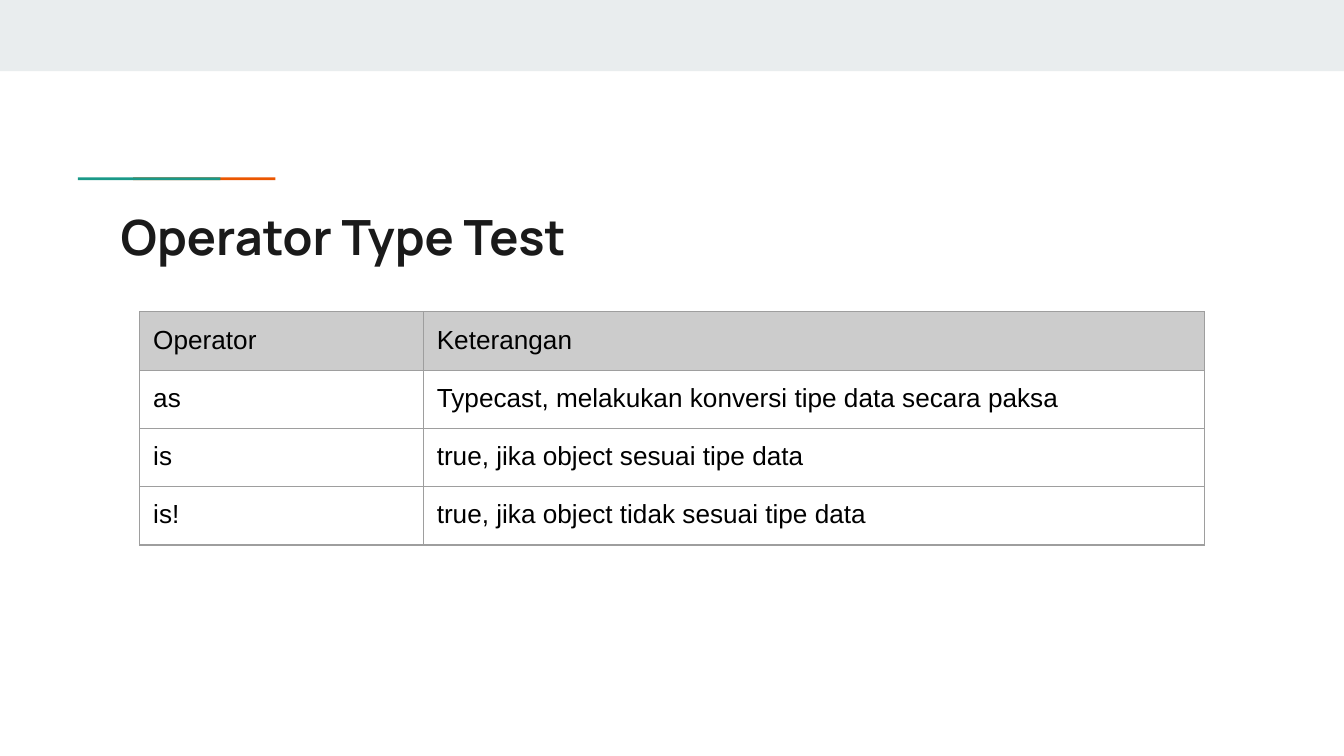
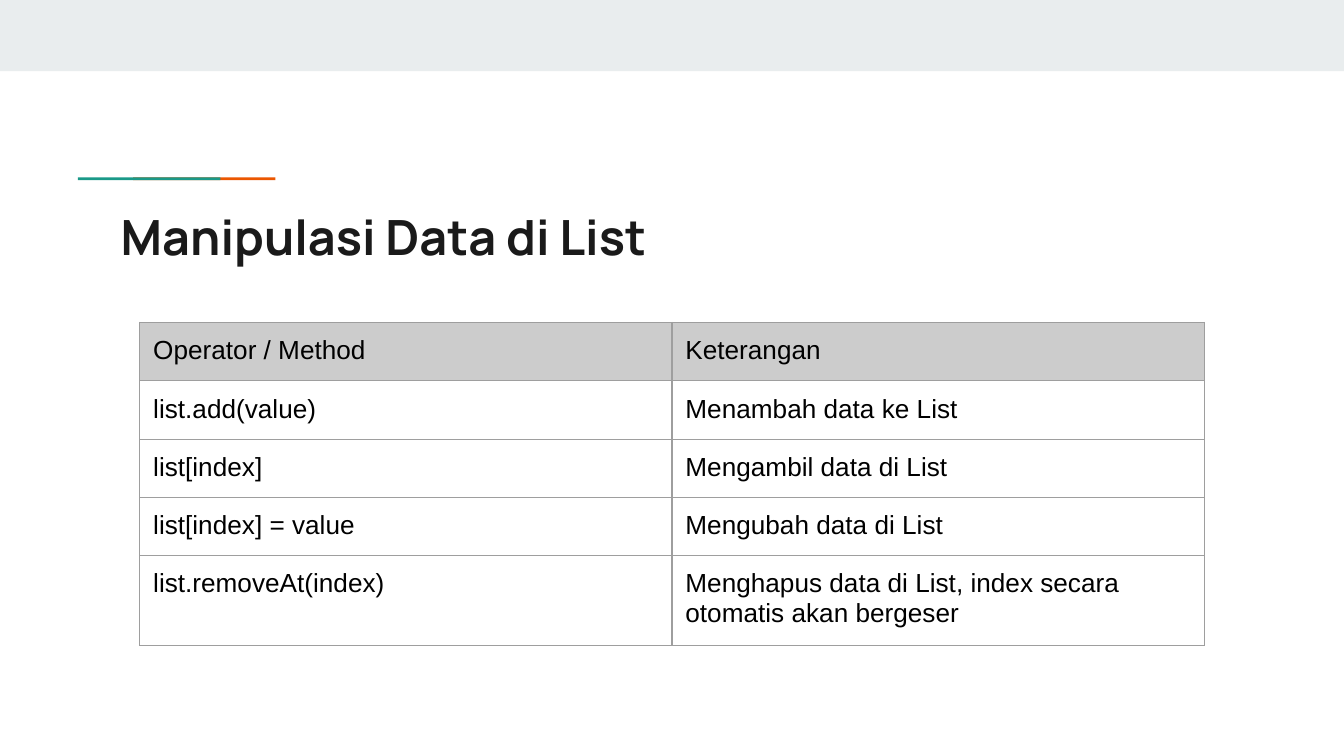
"""Build two slides that explain operators and list methods in tables."""
from dataclasses import dataclass

from lxml import etree
from pptx import Presentation
from pptx.dml.color import RGBColor
from pptx.enum import shapes, text
from pptx.oxml.ns import qn
from pptx.util import Inches, Pt


@dataclass(frozen=True)
class Theme:
    band: str = "E9EDEE"
    orange: str = "EB5600"
    teal: str = "1A9988"
    title: str = "1A1A1A"
    body: str = "000000"
    header: str = "CCCCCC"
    border: str = "9E9E9E"
    title_font: str = "Manrope"
    body_font: str = "Arial"
    title_size: int = 26
    body_size: int = 14
    border_width: float = 0.75


THEME = Theme()
PAGE_WIDTH = 10
PAGE_HEIGHT = PAGE_WIDTH * 9 / 16
TABLE_LEFT, ROW_HEIGHT, INSET = 1.04, 0.42, 0.1

BARS = [
    (0, 0, PAGE_WIDTH, 0.53, THEME.band),
    (0.99, 1.32, 1.06, 0.02, THEME.orange),
    (0.58, 1.32, 1.06, 0.02, THEME.teal),
]

PAGES = [
    {
        "title": "Operator Type Test",
        "top": 2.32,
        "height": 1.73,
        "columns": (2.11, 5.81),
        "rows": [
            ("Operator", "Keterangan"),
            ("as", "Typecast, melakukan konversi tipe data secara paksa"),
            ("is", "true, jika object sesuai tipe data"),
            ("is!", "true, jika object tidak sesuai tipe data"),
        ],
    },
    {
        "title": "Manipulasi Data di List",
        "top": 2.4,
        "height": 2.4,
        "columns": (3.96, 3.96),
        "rows": [
            ("Operator / Method", "Keterangan"),
            ("list.add(value)", "Menambah data ke List"),
            ("list[index]", "Mengambil data di List"),
            ("list[index] = value", "Mengubah data di List"),
            ("list.removeAt(index)",
             "Menghapus data di List, index secara otomatis akan bergeser"),
        ],
    },
]


def style(para, font, size, color, bold=False):
    para.line_spacing = 1.0
    para.font.name = font
    para.font.size = Pt(size)
    para.font.bold = bold
    para.font.color.rgb = RGBColor.from_string(color)


def set_insets(holder):
    for side in ("left", "top", "right", "bottom"):
        setattr(holder, f"margin_{side}", Inches(INSET))


def add_bar(page, left, top, width, height, color):
    bar = page.shapes.add_shape(
        shapes.MSO_SHAPE.RECTANGLE,
        Inches(left), Inches(top), Inches(width), Inches(height))
    bar.shadow.inherit = False
    bar.fill.solid()
    bar.fill.fore_color.rgb = RGBColor.from_string(color)
    bar.line.fill.background()


def add_title(page, title):
    box = page.shapes.add_textbox(
        Inches(0.8), Inches(1.44), Inches(8.41), Inches(0.59))
    frame = box.text_frame
    frame.word_wrap = True
    frame.vertical_anchor = text.MSO_ANCHOR.TOP
    set_insets(frame)
    frame.text = title
    style(frame.paragraphs[0], THEME.title_font, THEME.title_size, THEME.title, True)


def add_borders(cell):
    properties = cell._tc.get_or_add_tcPr()
    for position, side in enumerate(("lnL", "lnR", "lnT", "lnB")):
        line = etree.Element(qn(f"a:{side}"), w=str(Pt(THEME.border_width)))
        fill = etree.SubElement(line, qn("a:solidFill"))
        etree.SubElement(fill, qn("a:srgbClr"), val=THEME.border)
        properties.insert(position, line)


def fill_cell(cell, words, is_header):
    cell.text = words
    set_insets(cell)
    style(cell.text_frame.paragraphs[0], THEME.body_font, THEME.body_size, THEME.body)
    if is_header:
        cell.fill.solid()
        cell.fill.fore_color.rgb = RGBColor.from_string(THEME.header)
    else:
        cell.fill.background()
    add_borders(cell)


def add_grid(page, top, height, columns, rows):
    holder = page.shapes.add_table(
        len(rows), len(columns), Inches(TABLE_LEFT), Inches(top),
        Inches(sum(columns)), Inches(height))
    table = holder.table
    table.first_row = table.horz_banding = False
    for column, width in zip(table.columns, columns):
        column.width = Inches(width)
    for row_index, row in enumerate(rows):
        table.rows[row_index].height = Inches(ROW_HEIGHT)
        for column_index, words in enumerate(row):
            fill_cell(table.cell(row_index, column_index), words, row_index == 0)
    holder.height = Inches(height)


def main():
    deck = Presentation()
    deck.slide_width = Inches(PAGE_WIDTH)
    deck.slide_height = Inches(PAGE_HEIGHT)
    for content in PAGES:
        page = deck.slides.add_slide(deck.slide_layouts[6])
        for bar in BARS:
            add_bar(page, *bar)
        add_title(page, content["title"])
        add_grid(page, content["top"], content["height"],
                 content["columns"], content["rows"])
    deck.save("out.pptx")


if __name__ == "__main__":
    main()
